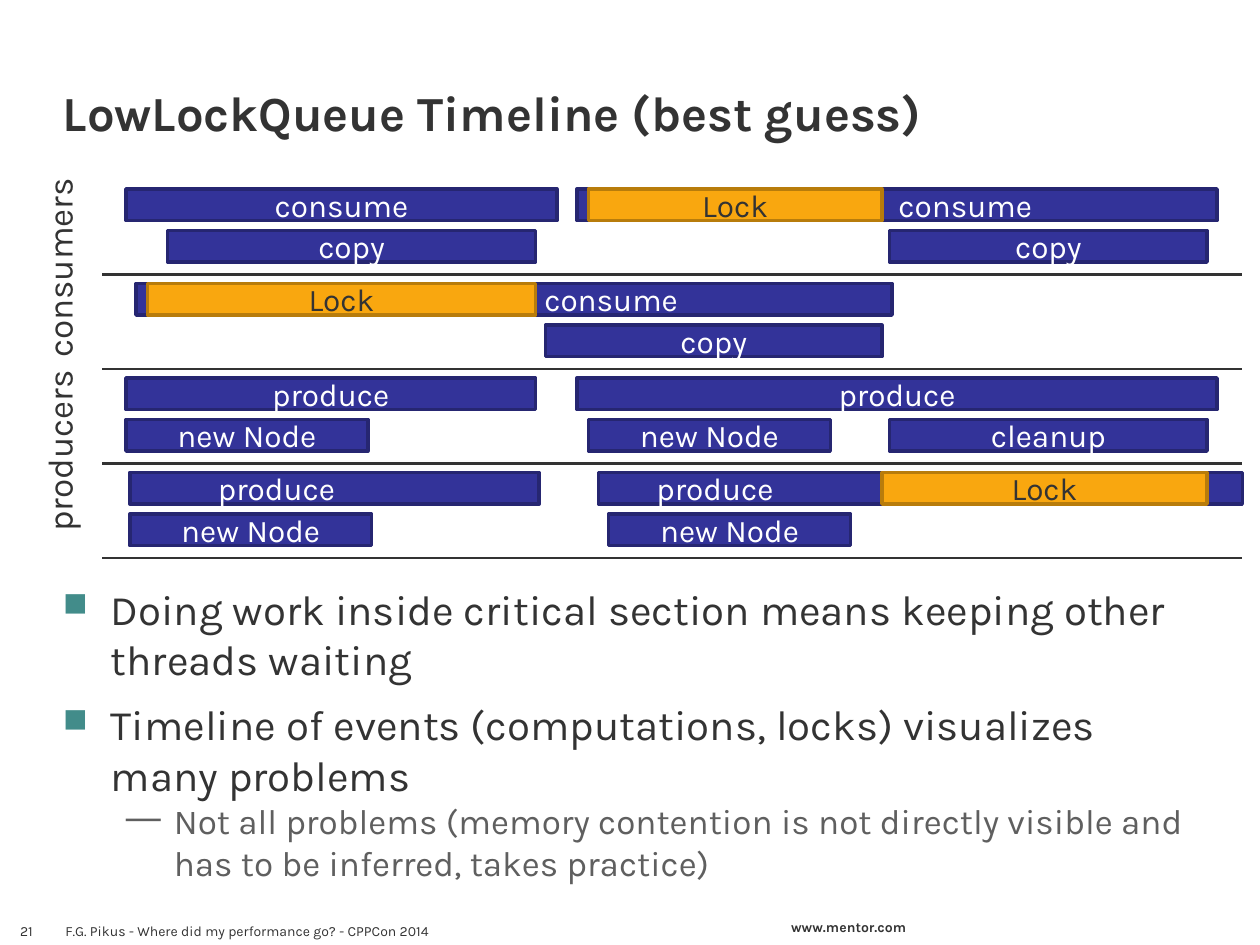
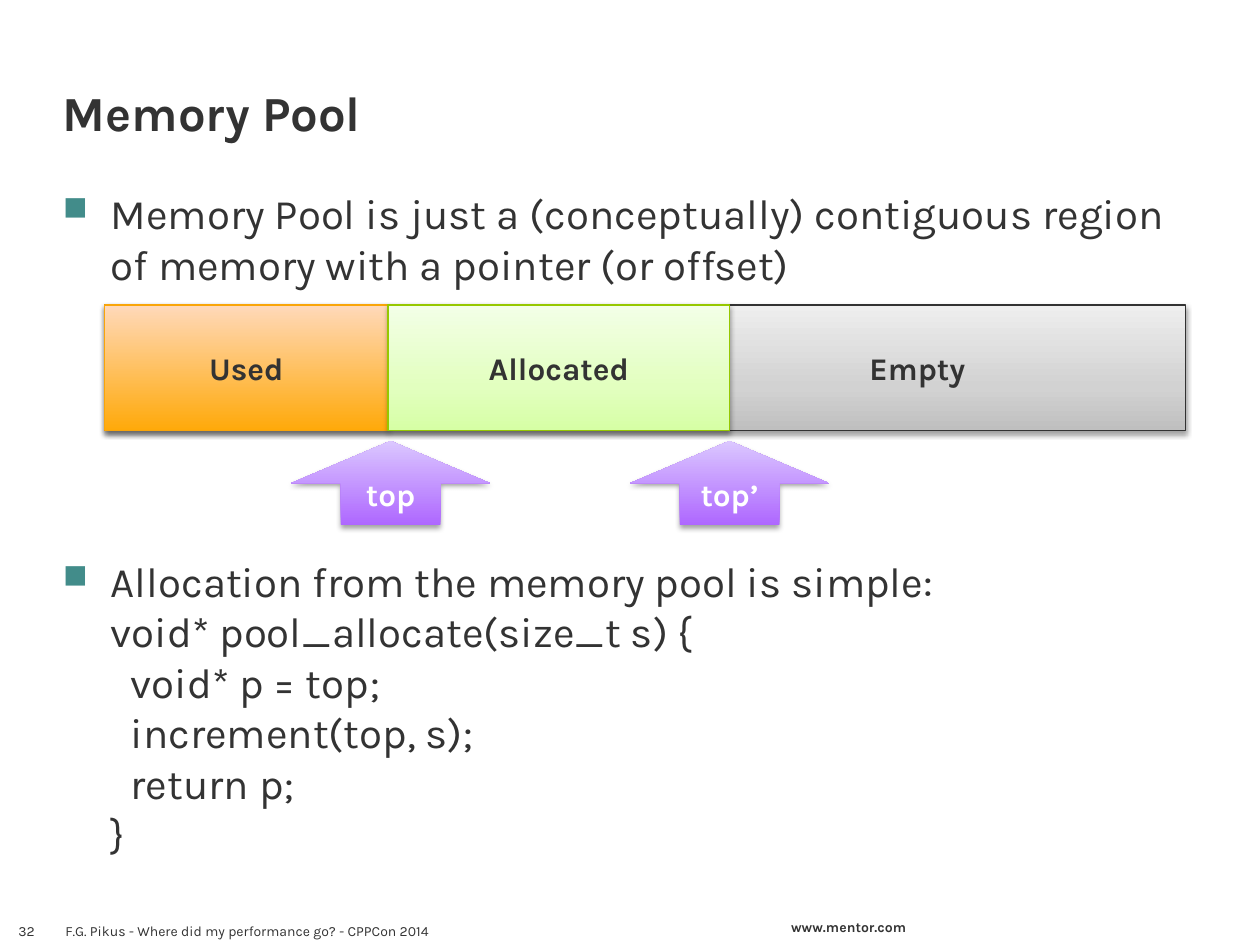
from lxml.etree import SubElement
from pptx import Presentation
from pptx.dml.color import RGBColor
from pptx.enum.shapes import MSO_CONNECTOR as Connector, MSO_SHAPE as Shape
from pptx.enum.text import MSO_ANCHOR as Anchor, MSO_AUTO_SIZE as AutoSize, PP_ALIGN as Align
from pptx.oxml.ns import qn
from pptx.util import Inches, Pt

FONT = "Karla"
INK = RGBColor(0x33, 0x33, 0x33)
WHITE = RGBColor(0xFF, 0xFF, 0xFF)
TEAL = RGBColor(0x42, 0x8C, 0x8A)
GRAY = RGBColor(0x5F, 0x5F, 0x5F)
WORK = RGBColor(0x33, 0x33, 0x99)
WORK_EDGE = RGBColor(0x26, 0x26, 0x71)
LOCK = RGBColor(0xF9, 0xA7, 0x0F)
LOCK_EDGE = RGBColor(0xB8, 0x7C, 0x0B)
EMPTY_EDGE = RGBColor(0x32, 0x32, 0x32)
USED_EDGE = RGBColor(0xF9, 0xA5, 0x09)
ALLOCATED_EDGE = RGBColor(0x96, 0xC8, 0x00)

# Gradient stops run from bottom to top: (percent, colour)
EMPTY_FILL = [(0, "BFBFBF"), (35, "D2D2D2"), (100, "EEEEEE")]
USED_FILL = [(0, "FFA909"), (100, "FFD9BA")]
ALLOCATED_FILL = [(0, "D6FFA5"), (35, "E2FFBF"), (100, "F3FFE7")]
POINTER_FILL = [(0, "AE67FF"), (100, "DBC7FF")]

BAR_HEIGHT = 0.25
SUBROW_STEP = 0.33
LANE_STEP = 0.75
RULE_OFFSET = 0.68

# Each lane lists (subrow, left, width, label, label inset); no inset centres the label
LANES = [
    [(0, 1, 3.42, "consume", None), (1, 1.33, 2.92, "copy", None),
     (0, 4.58, 5.08, "consume", 2.55), (1, 7.06, 2.52, "copy", None),
     (0, 4.67, 2.33, "Lock", None)],
    [(0, 1.08, 6, "consume", 3.24), (0, 1.17, 3.08, "Lock", None),
     (1, 4.33, 2.67, "copy", None)],
    [(0, 1, 3.25, "produce", None), (1, 1, 1.92, "new Node", None),
     (0, 4.58, 5.08, "produce", None), (1, 4.67, 1.92, "new Node", None),
     (1, 7.06, 2.52, "cleanup", None)],
    [(0, 1.03, 3.25, "produce", 0.7), (1, 1.03, 1.92, "new Node", None),
     (0, 4.75, 5.11, "produce", 0.46), (1, 4.83, 1.92, "new Node", None),
     (0, 7, 2.58, "Lock", None)],
]

POOL_CODE = """Allocation from the memory pool is simple:
void* pool_allocate(size_t s) {
  void* p = top;
  increment(top, s);
  return p;
}"""


def style(paragraph, size, color=INK, bold=False):
    font = paragraph.font
    font.name, font.size, font.bold = FONT, Pt(size), bold
    font.color.rgb = color


def add_text(slide, box, text, size, bold=False, anchor=Anchor.TOP, align=Align.LEFT,
             side_margin=0.1):
    shape = slide.shapes.add_textbox(*map(Inches, box))
    frame = shape.text_frame
    frame.word_wrap = True
    frame.vertical_anchor = anchor
    frame.margin_left = frame.margin_right = Inches(side_margin)
    paragraph = frame.paragraphs[0]
    paragraph.text = text
    paragraph.alignment = align
    style(paragraph, size, bold=bold)
    return shape


def add_base_slide(presentation, title, number):
    """Add a blank slide with the shared title and footer."""
    slide = presentation.slides.add_slide(presentation.slide_layouts[6])
    add_text(slide, (6.18, 7.24, 1.58, 0.23), "www.mentor.com", 8, bold=True)
    add_text(slide, (0, 0, 10, 1.17), title, 28, bold=True, anchor=Anchor.BOTTOM, side_margin=0.5)
    add_text(slide, (0.42, 7.25, 5.7, 0.25),
             "F.G. Pikus - Where did my performance go? - CPPCon 2014", 8, anchor=Anchor.BOTTOM)
    add_text(slide, (0, 7.25, 0.42, 0.25), str(number), 8, anchor=Anchor.BOTTOM,
             align=Align.CENTER)
    return slide


def set_bullet(paragraph, character, color, percent, left):
    properties = paragraph._p.get_or_add_pPr()
    properties.set("marL", str(Inches(left)))
    properties.set("indent", str(Inches(-0.38)))
    bullet_color = SubElement(properties, qn("a:buClr"))
    SubElement(bullet_color, qn("a:srgbClr"), val=str(color))
    SubElement(properties, qn("a:buSzPct"), val=str(percent * 1000))
    SubElement(properties, qn("a:buChar"), char=character)


def add_bullets(slide, box, items):
    """Add a bulleted body from (level, text) items."""
    frame = slide.shapes.add_textbox(*map(Inches, box)).text_frame
    frame.word_wrap = True
    frame.margin_left = frame.margin_right = Inches(0.5)
    for index, (level, text) in enumerate(items):
        paragraph = frame.add_paragraph() if index else frame.paragraphs[0]
        paragraph.text = text
        if level:
            paragraph.level = level
            set_bullet(paragraph, "—", GRAY, 100, 0.88)
            style(paragraph, 20, GRAY)
        else:
            set_bullet(paragraph, "■", TEAL, 80, 0.38)
            style(paragraph, 24)
            if index:
                paragraph.space_before = Pt(8.5)


def add_labelled_shape(slide, kind, box, label, color, bold=False, inset=None):
    """Add a preset shape whose label is centred, or starts at the given inset."""
    shape = slide.shapes.add_shape(kind, *map(Inches, box))
    shape.shadow.inherit = False
    frame = shape.text_frame
    frame.word_wrap = True
    frame.vertical_anchor = Anchor.MIDDLE
    paragraph = frame.paragraphs[0]
    paragraph.text = label
    paragraph.alignment = Align.CENTER
    if inset is not None:
        paragraph.alignment = Align.LEFT
        frame.margin_left = Inches(inset)
    style(paragraph, 18, color, bold)
    return shape


def add_bar(slide, box, label, inset):
    is_lock = label == "Lock"
    bar = add_labelled_shape(slide, Shape.RECTANGLE, box, label, INK if is_lock else WHITE,
                             inset=inset)
    bar.fill.solid()
    bar.fill.fore_color.rgb = LOCK if is_lock else WORK
    bar.line.color.rgb = LOCK_EDGE if is_lock else WORK_EDGE
    bar.line.width = Pt(2)


def add_rule(slide, left, right, top):
    rule = slide.shapes.add_connector(Connector.STRAIGHT, Inches(left), Inches(top),
                                      Inches(right), Inches(top))
    rule.line.color.rgb = INK
    rule.line.width = Pt(1.5)
    SubElement(rule._element.spPr, qn("a:effectLst"))


def add_side_label(slide, box, text):
    """Add a label that reads upwards."""
    frame = add_text(slide, box, text, 20).text_frame
    frame.word_wrap = False
    frame.auto_size = AutoSize.SHAPE_TO_FIT_TEXT
    frame._txBody.bodyPr.set("vert", "vert270")


def add_timeline(slide, left, top):
    add_side_label(slide, (left + 0.25, top + 0.01, 0.54, 1.43), "consumers")
    add_side_label(slide, (left + 0.25, top + 2 * LANE_STEP, 0.54, 1.32), "producers")
    for index, bars in enumerate(LANES):
        lane_top = top + index * LANE_STEP
        for subrow, bar_left, width, label, inset in bars:
            box = (left + bar_left, lane_top + subrow * SUBROW_STEP, width, BAR_HEIGHT)
            add_bar(slide, box, label, inset)
        add_rule(slide, left + 0.81, left + 9.86, lane_top + RULE_OFFSET)


def set_gradient(shape, stops):
    shape.fill.gradient()
    shape.fill.gradient_angle = 90
    stop_list = shape._element.spPr.find(".//" + qn("a:gsLst"))
    for old_stop in list(stop_list):
        stop_list.remove(old_stop)
    for percent, color in stops:
        stop = SubElement(stop_list, qn("a:gs"), pos=str(percent * 1000))
        SubElement(stop, qn("a:srgbClr"), val=color)


def set_drop_shadow(shape):
    effects = shape._element.spPr.find(qn("a:effectLst"))
    shadow = SubElement(effects, qn("a:outerShdw"), blurRad=str(Pt(3.1)), dist=str(Pt(1.7)),
                        dir="5400000", rotWithShape="0")
    color = SubElement(shadow, qn("a:srgbClr"), val="000000")
    SubElement(color, qn("a:alpha"), val="36000")


def add_glossy_shape(slide, kind, box, label, stops, color=INK, edge=None, inset=None):
    shape = add_labelled_shape(slide, kind, box, label, color, bold=True, inset=inset)
    set_gradient(shape, stops)
    set_drop_shadow(shape)
    if edge is None:
        shape.line.fill.background()
    else:
        shape.line.color.rgb = edge
        shape.line.width = Pt(0.75)


def add_memory_pool(slide, left, top):
    """Draw the whole pool, its filled regions and the pointers at their right ends."""
    pool_width, used_width, allocated_width, height = 8.58, 2.25, 2.71, 1
    allocated_left = left + used_width
    add_glossy_shape(slide, Shape.RECTANGLE, (left, top, pool_width, height), "Empty",
                     EMPTY_FILL, edge=EMPTY_EDGE, inset=6.07)
    add_glossy_shape(slide, Shape.RECTANGLE, (left, top, used_width, height), "Used",
                     USED_FILL, edge=USED_EDGE)
    add_glossy_shape(slide, Shape.RECTANGLE, (allocated_left, top, allocated_width, height),
                     "Allocated", ALLOCATED_FILL, edge=ALLOCATED_EDGE)
    arrow_width = 1.58
    for label, tip in (("top", allocated_left + 0.02),
                       ("top’", allocated_left + allocated_width)):
        box = (tip - arrow_width / 2, top + height + 0.08, arrow_width, 0.67)
        add_glossy_shape(slide, Shape.UP_ARROW, box, label, POINTER_FILL, WHITE)


def build_timeline_slide(presentation):
    slide = add_base_slide(presentation, "LowLockQueue Timeline (best guess)", 21)
    add_timeline(slide, 0, 1.5)
    add_bullets(slide, (0, 4.58, 10, 2.4), [
        (0, "Doing work inside critical section means keeping other threads waiting"),
        (0, "Timeline of events (computations, locks) visualizes many problems"),
        (1, "Not all problems (memory contention is not directly visible and has to be "
            "inferred, takes practice)"),
    ])


def build_memory_pool_slide(presentation):
    slide = add_base_slide(presentation, "Memory Pool", 32)
    add_bullets(slide, (0, 1.44, 10, 0.95), [
        (0, "Memory Pool is just a (conceptually) contiguous region of memory with a "
            "pointer (or offset)"),
    ])
    add_memory_pool(slide, 0.83, 2.42)
    add_bullets(slide, (0, 4.36, 10, 2.6), [(0, POOL_CODE)])


def main():
    presentation = Presentation()
    presentation.slide_width, presentation.slide_height = Inches(10), Inches(7.5)
    build_timeline_slide(presentation)
    build_memory_pool_slide(presentation)
    presentation.save("out.pptx")


if __name__ == "__main__":
    main()
